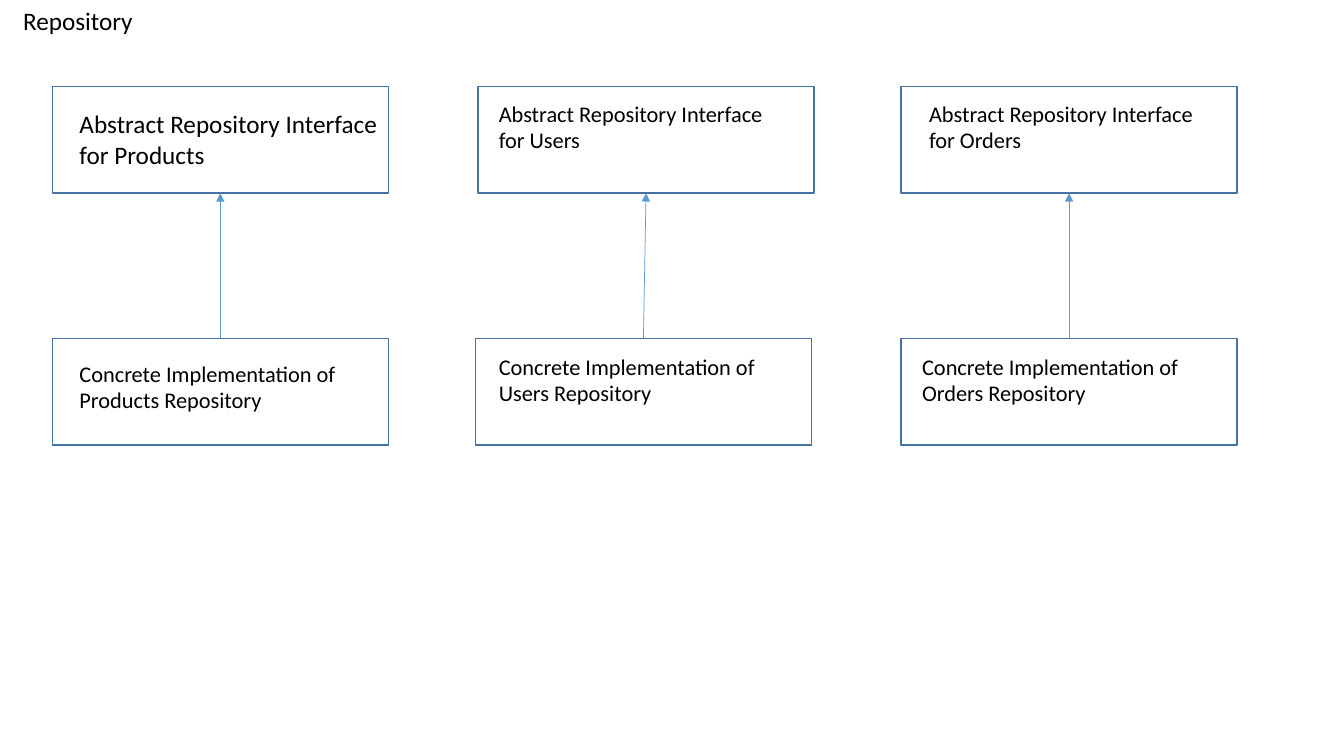
from lxml.etree import SubElement
from pptx import Presentation
from pptx.dml.color import RGBColor
from pptx.enum.shapes import MSO_CONNECTOR, MSO_SHAPE
from pptx.oxml.ns import qn
from pptx.util import Pt

TITLE = ("Repository", 9.4, 0, 208, 28.8, 18)
BOX_WIDTH, BOX_HEIGHT = 240, 76.3
INTERFACE_TOP, IMPLEMENTATION_TOP = 61.7, 241.7

# box left, then label: text, left, top, width, height, size
REPOSITORIES = [
    {
        "interface": (37.4, ("Abstract Repository Interface for Products", 49.7, 74, 226.8, 51, 18)),
        "implementation": (37.4, ("Concrete Implementation of Products Repository", 49.7, 253.4, 218.2, 46, 16)),
    },
    {
        "interface": (341.5, ("Abstract Repository Interface for Users", 349.2, 67.7, 221, 46, 16)),
        "implementation": (339.6, ("Concrete Implementation of Users Repository", 349.2, 248.4, 215.3, 46, 16)),
    },
    {
        "interface": (643.7, ("Abstract Repository Interface for Orders", 656.6, 67.7, 208.8, 46, 16)),
        "implementation": (643.7, ("Concrete Implementation of Orders Repository", 651.6, 248.4, 213.8, 46, 16)),
    },
]


def color(value):
    return RGBColor.from_string(value)


def add_label(slide, text, left, top, width, height, size):
    label = slide.shapes.add_textbox(Pt(left), Pt(top), Pt(width), Pt(height))
    label.text_frame.word_wrap = True
    label.text_frame.text = text
    font = label.text_frame.paragraphs[0].runs[0].font
    font.name = "Calibri"
    font.size = Pt(size)
    font.color.rgb = color("000000")


def add_box(slide, left, top, label):
    box = slide.shapes.add_shape(
        MSO_SHAPE.RECTANGLE, Pt(left), Pt(top), Pt(BOX_WIDTH), Pt(BOX_HEIGHT)
    )
    box.shadow.inherit = False
    box.fill.solid()
    box.fill.fore_color.rgb = color("FFFFFF")
    box.line.color.rgb = color("43739E")
    box.line.width = Pt(1)
    add_label(slide, *label)
    return box


def add_arrow(slide, source, target):
    arrow = slide.shapes.add_connector(MSO_CONNECTOR.STRAIGHT, 0, 0, 0, 0)
    arrow.begin_connect(source, 0)
    arrow.end_connect(target, 2)
    arrow.line.color.rgb = color("5B9BD5")
    arrow.line.width = Pt(0.5)
    SubElement(arrow.line._get_or_add_ln(), qn("a:tailEnd"), type="triangle")
    SubElement(arrow._element.spPr, qn("a:effectLst"))


def main():
    presentation = Presentation()
    presentation.slide_width, presentation.slide_height = Pt(960), Pt(540)
    slide = presentation.slides.add_slide(presentation.slide_layouts[6])
    add_label(slide, *TITLE)
    for repository in REPOSITORIES:
        left, label = repository["interface"]
        interface = add_box(slide, left, INTERFACE_TOP, label)
        left, label = repository["implementation"]
        implementation = add_box(slide, left, IMPLEMENTATION_TOP, label)
        add_arrow(slide, implementation, interface)
    presentation.save("out.pptx")


if __name__ == "__main__":
    main()
